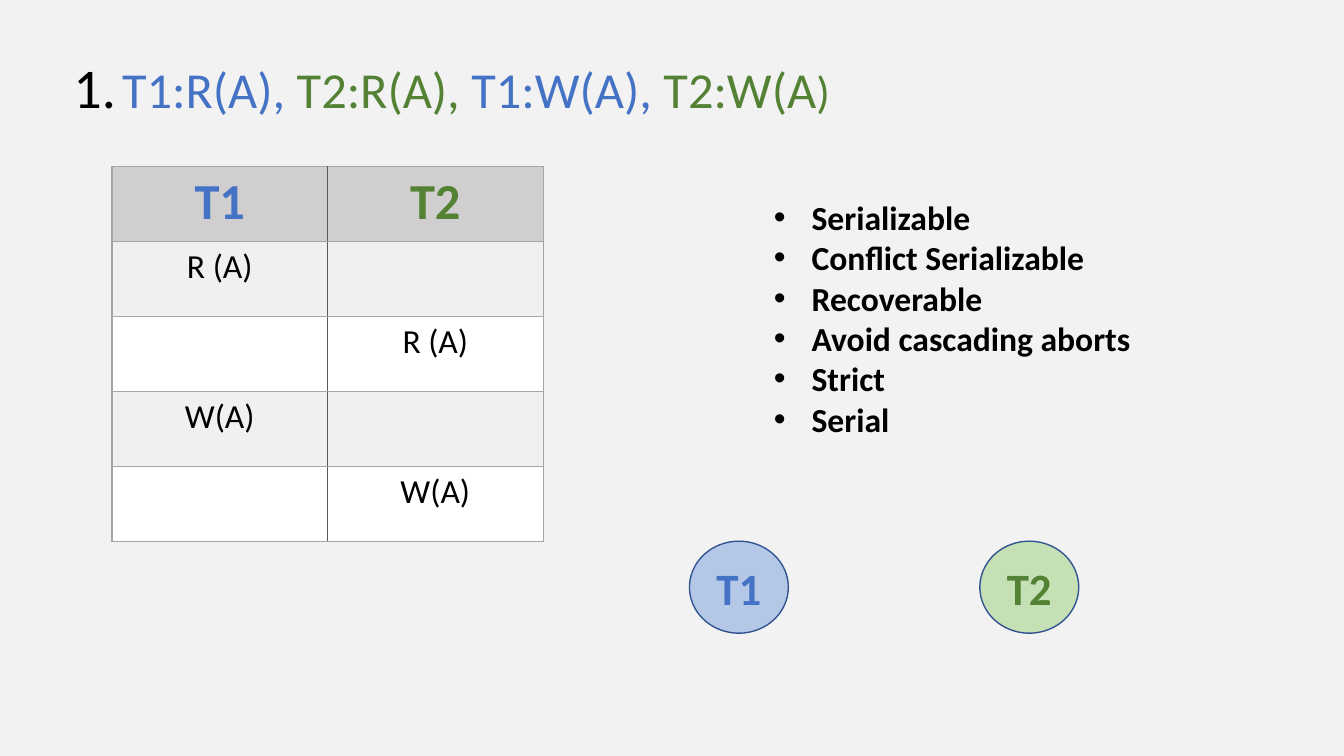
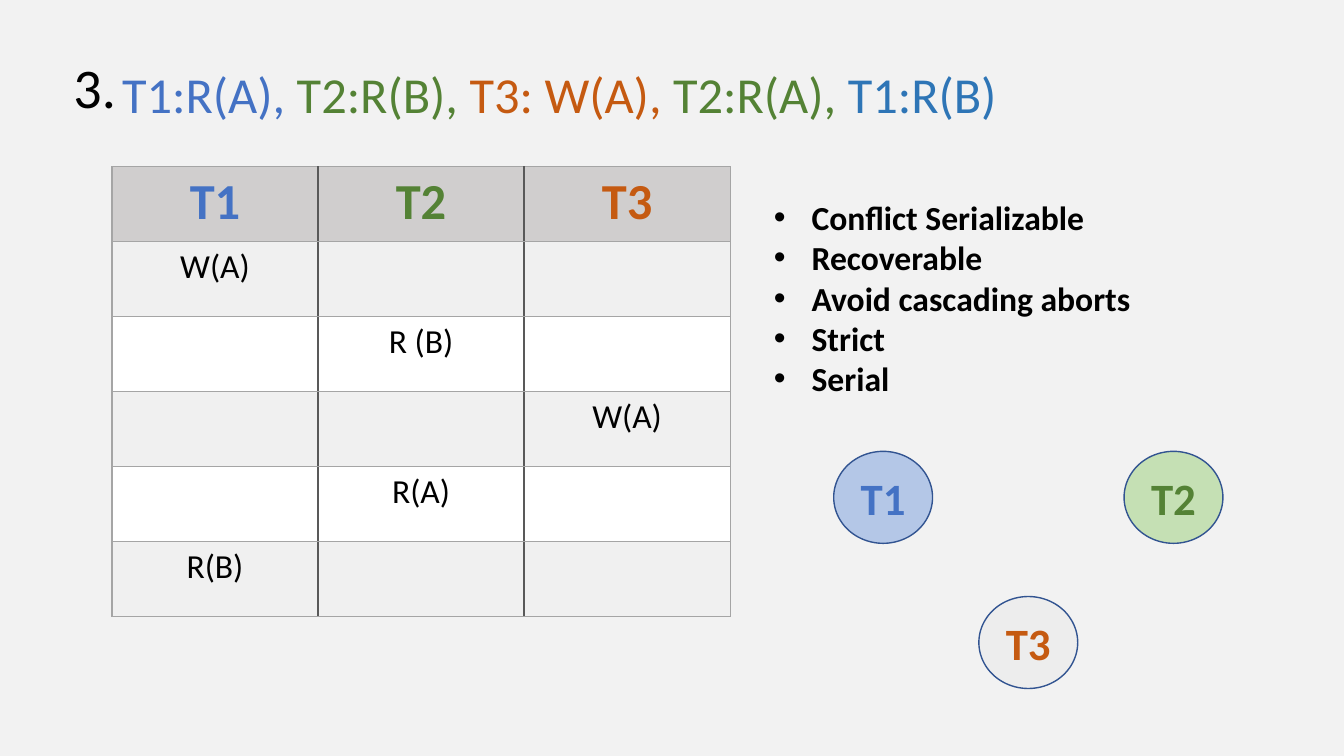
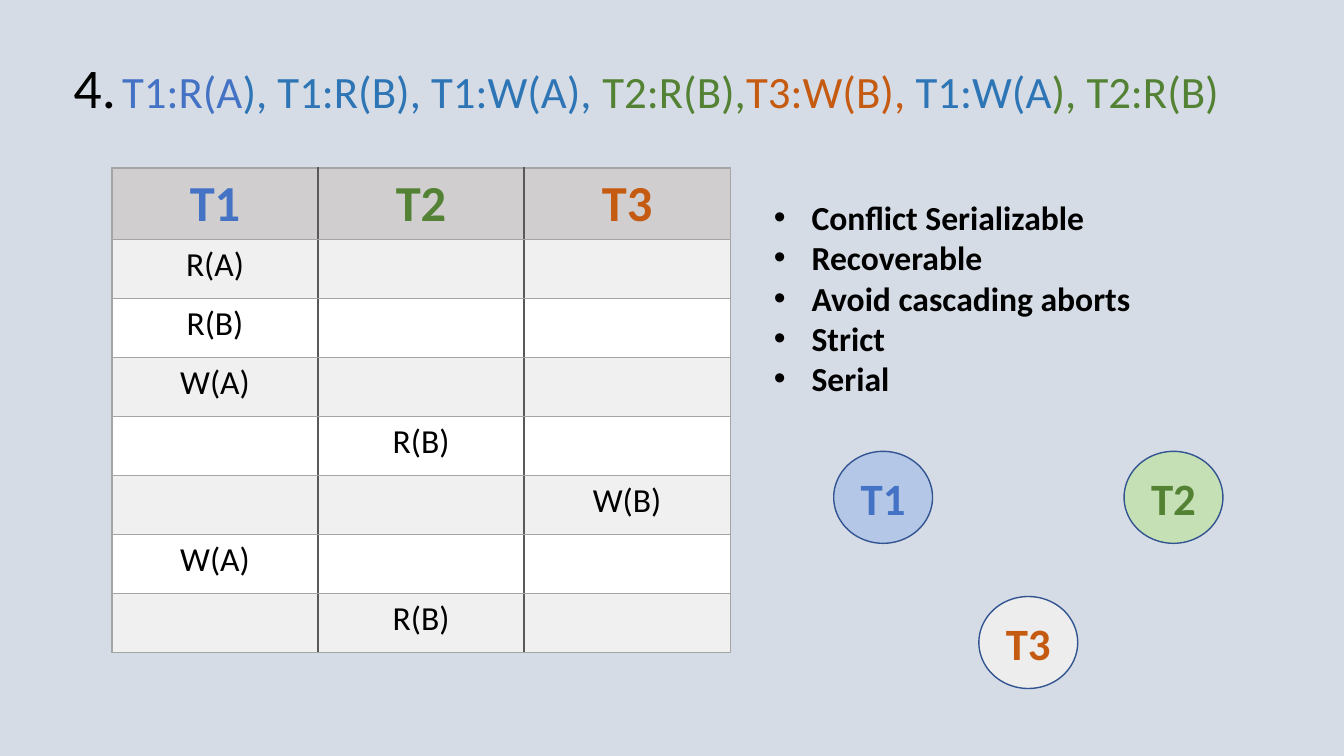
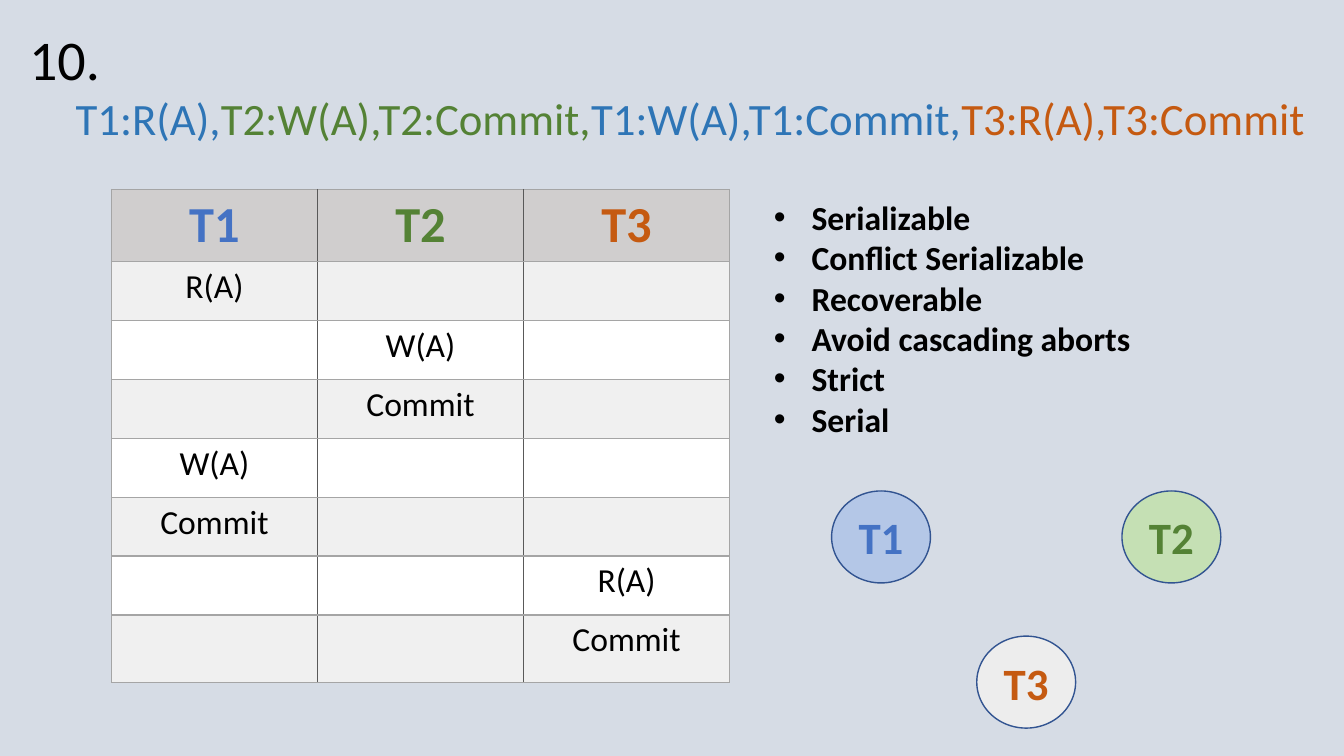
from lxml.etree import SubElement
from pptx import Presentation
from pptx.dml.color import RGBColor
from pptx.enum.shapes import MSO_SHAPE
from pptx.enum.text import MSO_ANCHOR, MSO_AUTO_SIZE, PP_ALIGN
from pptx.oxml.ns import qn
from pptx.util import Pt

FONT = "Calibri"
BLACK, WHITE = "000000", "FFFFFF"
BLUE, SKY, GREEN, ORANGE = "4472C4", "2E75B6", "548235", "C55A11"
GREY_PAGE, BLUE_PAGE = "F2F2F2", "D6DCE5"
HEADER_FILL, BAND_FILL = "D0CECE", "F0F0F0"
GRID, DIVIDER, NODE_LINE = "A5A5A5", "595959", "325491"
TRANSACTIONS = {
    "T1": (BLUE, "B4C7E7"),
    "T2": (GREEN, "C5E0B4"),
    "T3": (ORANGE, "EDEDED"),
}
NODE_STEPS = [(0, 0), (2, 0), (1, 1)]
NODE_STEP = 103.7
CONFLICT_PROPERTIES = [
    "Conflict Serializable",
    "Recoverable",
    "Avoid cascading aborts",
    "Strict",
    "Serial",
]
ALL_PROPERTIES = ["Serializable"] + CONFLICT_PROPERTIES


def rgb(color):
    return RGBColor.from_string(color)


def paint(fill, color):
    fill.solid()
    fill.fore_color.rgb = rgb(color)


def style(paragraph, size, color=None, bold=False, align=PP_ALIGN.LEFT):
    paragraph.alignment = align
    font = paragraph.font
    font.name, font.size, font.bold = FONT, Pt(size), bold
    if color:
        font.color.rgb = rgb(color)


def place(box, left, top, width, height):
    box.left, box.top, box.width, box.height = map(Pt, (left, top, width, height))


def set_frame(frame, wrap, anchor=MSO_ANCHOR.TOP):
    frame.auto_size = MSO_AUTO_SIZE.NONE
    frame.word_wrap = wrap
    frame.vertical_anchor = anchor


def add_title(slide, position, size, operations):
    title = slide.shapes.title
    place(title, *position)
    set_frame(title.text_frame, False)
    paragraph = title.text_frame.paragraphs[0]
    style(paragraph, size)
    for text, color, *own_size in operations:
        run = paragraph.add_run()
        run.text = text
        run.font.color.rgb = rgb(color)
        if own_size:
            run.font.size = Pt(own_size[0])


def add_number(slide, number, left, top, width):
    label = slide.shapes.add_textbox(Pt(left), Pt(top), Pt(width), Pt(55.7))
    set_frame(label.text_frame, False)
    label.text_frame.text = number
    style(label.text_frame.paragraphs[0], 40, BLACK)


def add_properties(slide, properties):
    body = slide.placeholders[1]
    place(body, 545.5, 137, 276, 181)
    set_frame(body.text_frame, True)
    body.text_frame.text = "\n".join(properties)
    for paragraph in body.text_frame.paragraphs:
        style(paragraph, 24, BLACK, True)
        paragraph.space_before = Pt(0)


def set_borders(cell, left, right):
    properties = cell._tc.get_or_add_tcPr()
    edges = [("a:lnL", left), ("a:lnR", right), ("a:lnT", GRID), ("a:lnB", GRID)]
    for index, (tag, color) in enumerate(edges):
        line = SubElement(properties, qn(tag), w=str(Pt(1)))
        fill = SubElement(line, qn("a:solidFill"))
        SubElement(fill, qn("a:srgbClr"), val=color)
        properties.insert(index, line)


def add_schedule(slide, left, top, column_width, row_heights, steps, names):
    last = len(names) - 1
    table = slide.shapes.add_table(
        len(steps) + 1, len(names), Pt(left), Pt(top),
        Pt(column_width * len(names)), Pt(sum(row_heights)),
    ).table
    table.first_row = table.horz_banding = False
    for column in table.columns:
        column.width = Pt(column_width)
    for row, height in zip(table.rows, row_heights):
        row.height = Pt(height)
    for r in range(len(steps) + 1):
        for c, name in enumerate(names):
            cell = table.cell(r, c)
            if r == 0:
                cell.text = name
                style(cell.text_frame.paragraphs[0], 36, TRANSACTIONS[name][0],
                      True, PP_ALIGN.CENTER)
                paint(cell.fill, HEADER_FILL)
            else:
                owner, operation = steps[r - 1]
                if owner == name:
                    cell.text = operation
                    style(cell.text_frame.paragraphs[0], 24, BLACK,
                          align=PP_ALIGN.CENTER)
                paint(cell.fill, BAND_FILL if r % 2 else WHITE)
            set_borders(cell, DIVIDER if c else GRID, DIVIDER if c < last else GRID)


def add_graph(slide, left, top, names):
    for name, (across, down) in zip(names, NODE_STEPS):
        color, fill = TRANSACTIONS[name]
        node = slide.shapes.add_shape(
            MSO_SHAPE.OVAL, Pt(left + across * NODE_STEP),
            Pt(top + down * NODE_STEP), Pt(70.6), Pt(65.7))
        node.shadow.inherit = False
        paint(node.fill, fill)
        node.line.color.rgb = rgb(NODE_LINE)
        node.line.width = Pt(1)
        set_frame(node.text_frame, True, MSO_ANCHOR.MIDDLE)
        node.text_frame.text = name
        style(node.text_frame.paragraphs[0], 32, color, True, PP_ALIGN.CENTER)


def add_exercise(deck, page, number, title, properties, schedule, steps, graph,
                 names=("T1", "T2", "T3"), number_at=(45.4, 34, 45.4)):
    slide = deck.slides.add_slide(deck.slide_layouts[1])
    paint(slide.background.fill, page)
    add_title(slide, *title)
    add_number(slide, number, *number_at)
    add_properties(slide, properties)
    add_schedule(slide, *schedule, steps, names)
    add_graph(slide, *graph, names)


def main():
    deck = Presentation()
    deck.slide_width, deck.slide_height = Pt(960), Pt(540)

    add_exercise(
        deck, GREY_PAGE, "1.",
        ((80, 38.2, 529, 51), 36, [
            ("T1:R(A), ", BLUE), ("T2:R(A), ", GREEN), ("T1:W(A), ", BLUE),
            ("T2:W(A", GREEN), (")", GREEN, 32)]),
        ALL_PROPERTIES,
        (80, 119.2, 154, [53.55] * 5),
        [("T1", "R (A)"), ("T2", "R (A)"), ("T1", "W(A)"), ("T2", "W(A)")],
        (492.5, 386.6), names=("T1", "T2"))

    add_exercise(
        deck, GREY_PAGE, "3.",
        ((80, 41.8, 661, 51), 36, [
            ("T1:R(A), ", BLUE), ("T2:R(B), ", GREEN), ("T3: W(A), ", ORANGE),
            ("T2:R(A), ", GREEN), ("T1:R(B)", SKY)]),
        CONFLICT_PROPERTIES,
        (80, 119.2, 147.2, [53.55] * 6),
        [("T1", "W(A)"), ("T2", "R (B)"), ("T3", "W(A)"), ("T2", "R(A)"),
         ("T1", "R(B)")],
        (595.5, 322.4))

    add_exercise(
        deck, BLUE_PAGE, "4.",
        ((80, 41.8, 818.6, 46), 32, [
            ("T1:R(A", BLUE), ("), T1:R(B), T1:W(A), ", SKY), ("T2:R(B),", GREEN),
            ("T3:W(B), ", ORANGE), ("T1:W(A", SKY), ("), T2:R(B)", GREEN)]),
        CONFLICT_PROPERTIES,
        (80, 120, 147.2, [51.2] + [42.1] * 7),
        [("T1", "R(A)"), ("T1", "R(B)"), ("T1", "W(A)"), ("T2", "R(B)"),
         ("T3", "W(B)"), ("T1", "W(A)"), ("T2", "R(B)")],
        (595.5, 322.4))

    add_exercise(
        deck, BLUE_PAGE, "10.",
        ((46.8, 61.2, 895.7, 46), 32, [
            ("T1:R(A),", SKY), ("T2:W(A),T2:Commit,", GREEN),
            ("T1:W(A),T1:Commit,", SKY), ("T3:R(A),T3:Commit", ORANGE)]),
        ALL_PROPERTIES,
        (79.6, 135.4, 147.2, [51.2] + [42.1] * 6 + [48.5]),
        [("T1", "R(A)"), ("T2", "W(A)"), ("T2", "Commit"), ("T1", "W(A)"),
         ("T1", "Commit"), ("T3", "R(A)"), ("T3", "Commit")],
        (594, 350.7), number_at=(13.7, 13.7, 65.5))

    deck.save("out.pptx")


if __name__ == "__main__":
    main()
